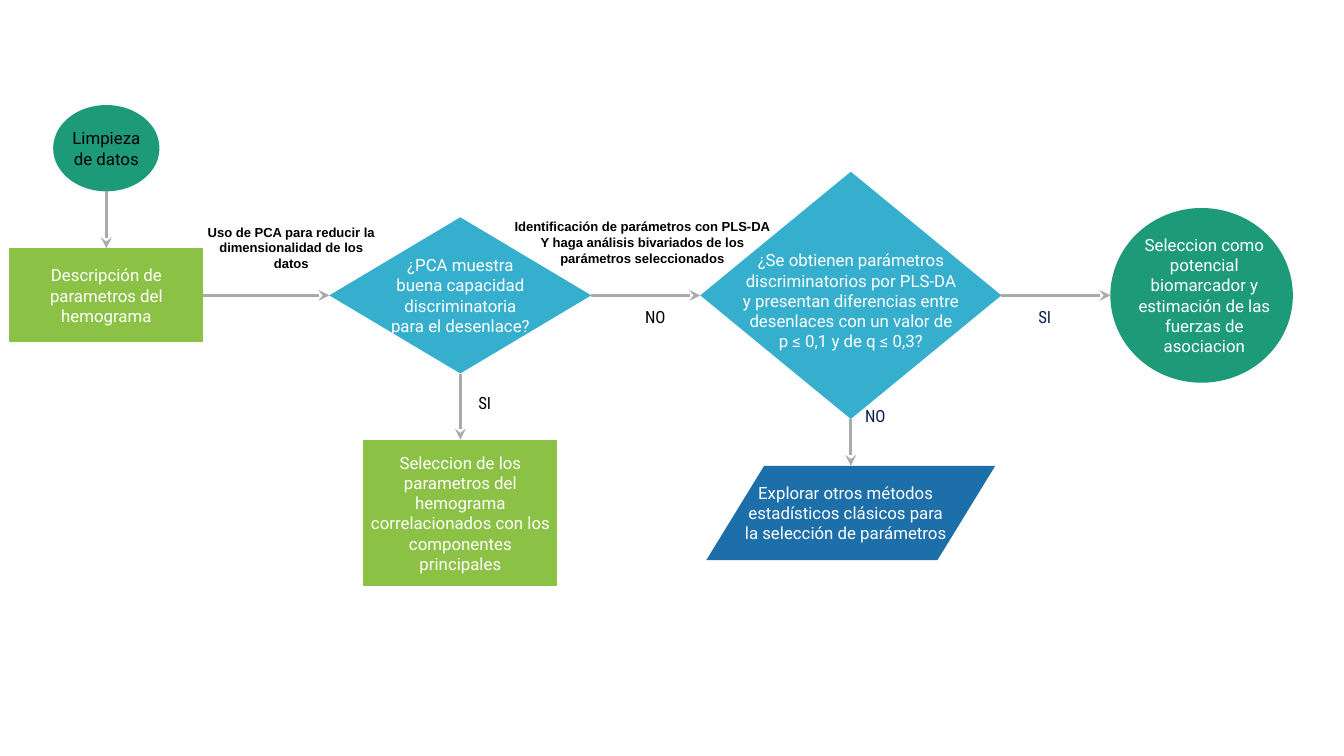
import pptx
import pptx.dml.color
import pptx.enum.shapes
import pptx.enum.text
import pptx.oxml.ns
import pptx.util
from lxml import etree

Cm = pptx.util.Cm
RGBColor = pptx.dml.color.RGBColor
Kind = pptx.enum.shapes.MSO_SHAPE
Align = pptx.enum.text.PP_ALIGN
Anchor = pptx.enum.text.MSO_ANCHOR

GREEN = RGBColor(0x1D, 0x9A, 0x78)
LIME = RGBColor(0x8B, 0xC1, 0x45)
SKY = RGBColor(0x36, 0xAF, 0xCE)
BLUE = RGBColor(0x1D, 0x6F, 0xA9)
GRAY = RGBColor(0xAA, 0xAA, 0xAA)
NAVY = RGBColor(0x08, 0x20, 0x4D)
BLACK = RGBColor(0x00, 0x00, 0x00)
WHITE = RGBColor(0xFF, 0xFF, 0xFF)


class FlowChart:
    """Holds the style and the slide being drawn; lengths are in centimetres."""

    node_font = "Roboto"
    branch_font = "Roboto Condensed"
    note_font = "Arial"
    size = 9
    note_size = 7
    text_height = 0.61

    def __init__(self, slide):
        self.slide = slide

    def text(self, left, top, width, height, words, font, size, color,
             bold=False, align=Align.CENTER, anchor=Anchor.TOP):
        box = self.slide.shapes.add_textbox(Cm(left), Cm(top), Cm(width), Cm(height))
        frame = box.text_frame
        frame.word_wrap = True
        frame.vertical_anchor = anchor
        frame.text = words
        for paragraph in frame.paragraphs:
            paragraph.alignment = align
            for run in paragraph.runs:
                run.font.name = font
                run.font.size = pptx.util.Pt(size)
                run.font.bold = bold
                run.font.color.rgb = color

    def node(self, kind, center, size, fill, words, text_width,
             color=WHITE, shift=(0, 0)):
        """Draw a filled step with its text box centred on it, plus a shift."""
        (x, y), (width, height) = center, size
        shape = self.slide.shapes.add_shape(
            kind, Cm(x - width / 2), Cm(y - height / 2), Cm(width), Cm(height))
        shape.shadow.inherit = False
        shape.fill.solid()
        shape.fill.fore_color.rgb = fill
        shape.line.fill.background()
        self.text(x + shift[0] - text_width / 2, y + shift[1] - self.text_height / 2,
                  text_width, self.text_height, words, self.node_font, self.size,
                  color, anchor=Anchor.MIDDLE)
        return shape

    def arrow(self, start, end):
        line = self.slide.shapes.add_connector(
            pptx.enum.shapes.MSO_CONNECTOR.STRAIGHT, *start, *end)
        line.line.color.rgb = GRAY
        line.line.width = pptx.util.Pt(1.5)
        head = etree.SubElement(line.line._get_or_add_ln(), pptx.oxml.ns.qn("a:tailEnd"))
        head.set("type", "stealth")
        etree.SubElement(line._element.spPr, pptx.oxml.ns.qn("a:effectLst"))

    def arrow_right(self, source, target):
        y = source.top + source.height // 2
        self.arrow((source.left + source.width, y), (target.left, y))

    def arrow_down(self, source, target):
        x = source.left + source.width // 2
        self.arrow((x, source.top + source.height), (x, target.top))

    def branch(self, left, top, words, color, align):
        self.text(left, top, 1.55, 0.74, words, self.branch_font, self.size,
                  color, align=align)

    def note(self, left, top, width, words):
        self.text(left, top, width, 1.14, words, self.note_font, self.note_size,
                  BLACK, bold=True)


def main():
    presentation = pptx.Presentation()
    presentation.slide_width = Cm(25.4)
    presentation.slide_height = Cm(14.28)
    chart = FlowChart(presentation.slides.add_slide(presentation.slide_layouts[6]))

    # Columns and rows shared by the steps
    first, second, third, last = 2.01, 8.7, 16.08, 22.71
    axis, lower = 5.58, 9.69

    # Steps
    cleaning = chart.node(
        Kind.FLOWCHART_CONNECTOR, (first, 2.8), (2.01, 1.63), GREEN,
        "Limpieza de datos", 2.01, color=BLACK)
    description = chart.node(
        Kind.FLOWCHART_PROCESS, (first, axis), (3.66, 1.78), LIME,
        "Descripción de parametros del hemograma", 3.25)
    pca = chart.node(
        Kind.DIAMOND, (second, axis), (4.95, 2.95), SKY,
        "¿PCA muestra buena capacidad discriminatoria para el desenlace?", 3.25)
    selection = chart.node(
        Kind.FLOWCHART_PROCESS, (second, lower), (3.66, 2.77), LIME,
        "Seleccion de los parametros del hemograma correlacionados con los "
        "componentes principales", 4.04)
    pls_da = chart.node(
        Kind.DIAMOND, (third, axis), (5.69, 4.67), SKY,
        "¿Se obtienen parámetros discriminatorios por PLS-DA y presentan "
        "diferencias entre desenlaces con un valor de\vp ≤ 0,1 y de q ≤ 0,3?",
        4.62, shift=(0, 0.1))
    other_methods = chart.node(
        Kind.FLOWCHART_DATA, (third, lower), (5.46, 1.78), BLUE,
        "Explorar otros métodos estadísticos clásicos para la selección de "
        "parámetros", 4.32, shift=(-0.1, 0))
    biomarker = chart.node(
        Kind.FLOWCHART_CONNECTOR, (last, axis), (3.45, 3.3), GREEN,
        "Seleccion como potencial biomarcador y estimación de las fuerzas de "
        "asociacion", 3.25, shift=(0.05, 0))

    # Arrows
    for source, target in ((description, pca), (pca, pls_da), (pls_da, biomarker)):
        chart.arrow_right(source, target)
    for source, target in ((cleaning, description), (pca, selection),
                           (pls_da, other_methods)):
        chart.arrow_down(source, target)

    # Branch labels
    chart.branch(8.79, 7.29, "SI", BLACK, Align.LEFT)
    chart.branch(16.1, 7.54, "NO", NAVY, Align.LEFT)
    chart.branch(18.97, 5.66, "SI", NAVY, Align.CENTER)
    chart.branch(11.61, 5.66, "NO", BLACK, Align.CENTER)

    # Notes above the arrows
    chart.note(9.42, 4.01, 5.44,
               "Identificación de parámetros con PLS-DA\n"
               "Y haga análisis bivariados de los parámetros seleccionados")
    chart.note(3.56, 4.11, 3.89,
               "Uso de PCA para reducir la dimensionalidad de los datos")

    presentation.save("out.pptx")


if __name__ == "__main__":
    main()
